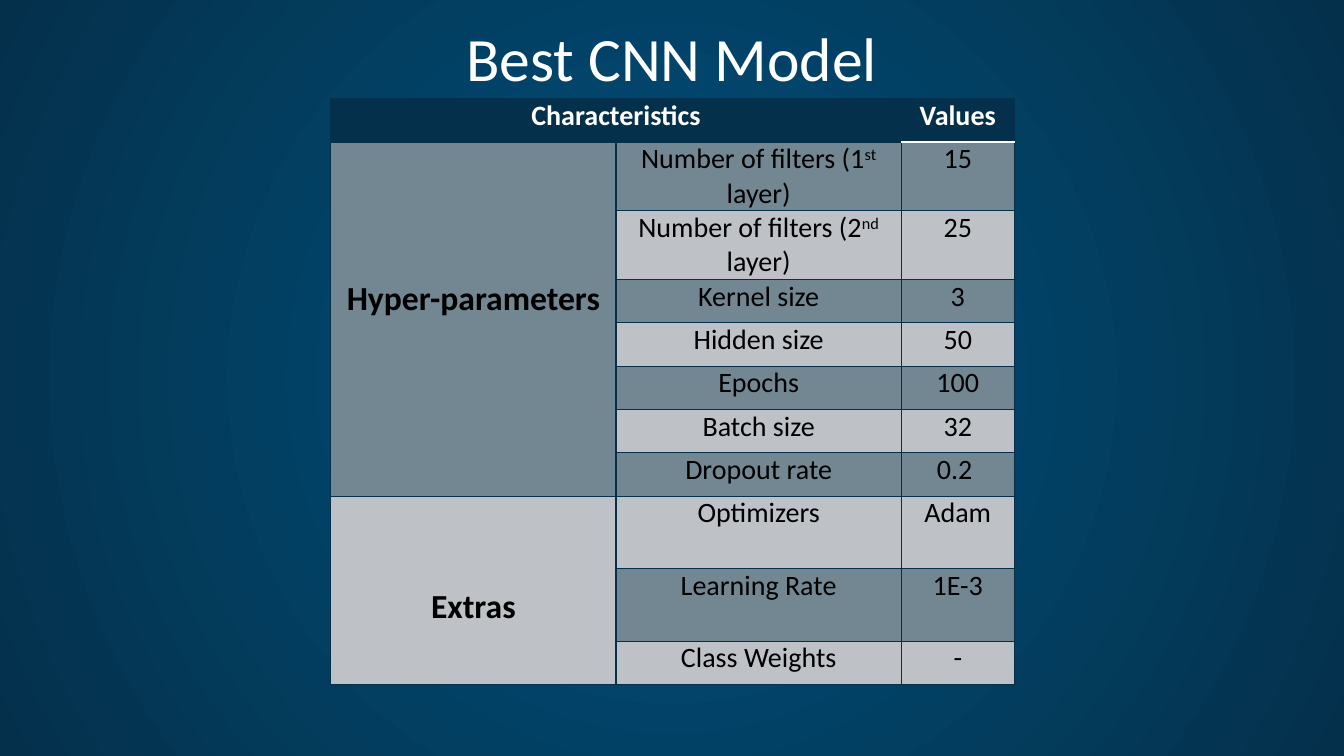
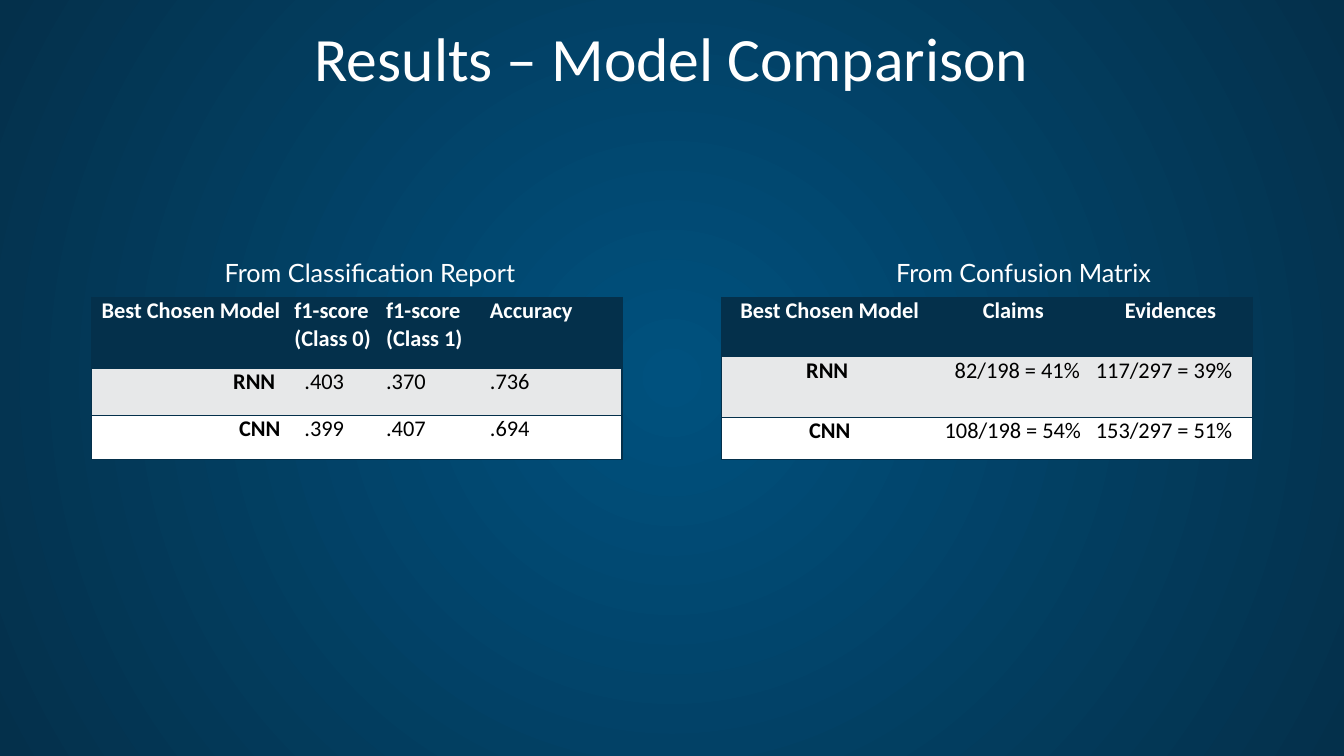
from dataclasses import dataclass

from lxml import etree
from pptx import Presentation
from pptx.dml.color import RGBColor
from pptx.enum.text import MSO_ANCHOR, PP_ALIGN
from pptx.oxml.ns import qn
from pptx.util import Inches, Pt

LEFT, MID, RIGHT = PP_ALIGN.LEFT, PP_ALIGN.CENTER, PP_ALIGN.RIGHT
CENTER = MSO_ANCHOR.MIDDLE
PLAIN = "{2D5ABB26-0587-4C30-8999-92F81FD0307C}"


@dataclass(frozen=True)
class Theme:
    blue: str = "00517E"
    navy: str = "04304B"
    slate: str = "738793"
    pale: str = "BEC1C6"
    mist: str = "E7E8E9"
    white: str = "FFFFFF"
    black: str = "000000"
    font: str = "Calibri"
    note: str = "Lato"
    title: int = 44
    group: int = 24
    body: int = 20
    label: int = 18
    small: int = 16
    thin: float = 0.75
    line: float = 1
    thick: float = 2.08


T = Theme()


def put(frame, text, size=T.body, color=T.black, font=T.font, bold=False,
        align=LEFT, space=None, after=0):
    """Write one paragraph per line; text between bars is superscript."""
    for i, line in enumerate(text.split("\n")):
        para = frame.add_paragraph() if i else frame.paragraphs[0]
        para.alignment = align
        para.space_after = Pt(after)
        if space:
            para.line_spacing = space
        for j, part in enumerate(line.split("|")):
            run = para.add_run()
            run.text = part
            run.font.size = Pt(size)
            run.font.name = font
            run.font.bold = bold
            run.font.color.rgb = RGBColor.from_string(color)
            if j % 2:
                run._r.get_or_add_rPr().set("baseline", "30000")


def grid(slide, x, y, cols, rows, fill, edge):
    """Add a table; fill(r, c) gives a colour, edge(r, c) its (colour, width) by side."""
    frame = slide.shapes.add_table(len(rows), len(cols), Inches(x), Inches(y),
                                   Inches(sum(cols)), Inches(sum(rows)))
    table = frame.table
    table.first_row = table.horz_banding = False
    table._tbl.tblPr.find(qn("a:tableStyleId")).text = PLAIN
    for col, width in zip(table.columns, cols):
        col.width = Inches(width)
    for r, height in enumerate(rows):
        table.rows[r].height = Inches(height)
        for c in range(len(cols)):
            cell = table.cell(r, c)
            cell.margin_left = cell.margin_right = Inches(0.07)
            cell.margin_top = cell.margin_bottom = 0
            cell.fill.solid()
            cell.fill.fore_color.rgb = RGBColor.from_string(fill(r, c))
            sides = edge(r, c)
            for i, side in enumerate("LRTB"):
                line = etree.Element(qn(f"a:ln{side}"))
                if side in sides:
                    color, width = sides[side]
                    line.set("w", str(int(Pt(width))))
                    solid = etree.SubElement(line, qn("a:solidFill"))
                    etree.SubElement(solid, qn("a:srgbClr"), val=color)
                else:
                    etree.SubElement(line, qn("a:noFill"))
                cell._tc.get_or_add_tcPr().insert(i, line)
    return table


prs = Presentation()
prs.slide_width, prs.slide_height = Inches(13.33), Inches(7.5)

# Shared radial background
master = prs.slide_master
back = master.background.fill
back.gradient()
for stop, place, color in zip(back.gradient_stops, (0, 1), (T.blue, T.navy)):
    stop.position = place
    stop.color.rgb = RGBColor.from_string(color)
grad = master.element.find(".//" + qn("a:gradFill"))
for old in grad.findall(qn("a:lin")):
    grad.remove(old)
ring = etree.SubElement(grad, qn("a:path"))
ring.set("path", "circle")
etree.SubElement(ring, qn("a:fillToRect"), l="50000", t="50000", r="50000", b="50000")

# Slides and titles
slides = []
for name in ("Best CNN Model", "Results – Model Comparison"):
    slide = prs.slides.add_slide(prs.slide_layouts[5])
    title = slide.shapes.title
    title.left, title.top = Inches(0.91), Inches(0.28)
    title.width, title.height = Inches(11.51), Inches(0.67)
    title.text_frame.vertical_anchor = CENTER
    put(title.text_frame, name, size=T.title, color=T.white, align=MID, space=0.9)
    slides.append(slide)
best, results = slides

# Best model: settings in two groups
settings = [
    ("Number of filters (1|st| layer)", "15"),
    ("Number of filters (2|nd| layer)", "25"),
    ("Kernel size", "3"),
    ("Hidden size", "50"),
    ("Epochs", "100"),
    ("Batch size", "32"),
    ("Dropout rate", "0.2 "),
    ("Optimizers", "Adam"),
    ("Learning Rate", "1E-3"),
    ("Class Weights", "-"),
]
groups = [("Hyper-parameters", 1, 7, 1.35), ("Extras", 8, 10, 0.9)]


def_fill = lambda r, c: (T.navy if r == 0 else
                         T.slate if (r < 8 if c == 0 else r % 2) else T.pale)
rule = (T.navy, T.thin)
heavy = {(0, "R"): T.navy, (1, "L"): T.navy}


table = grid(
    best, 3.28, 0.98, [2.83, 2.83, 1.12],
    [0.43] + [0.68] * 2 + [0.43] * 5 + [0.72] * 2 + [0.43], def_fill,
    lambda r, c: {
        side: (T.white, T.thick) if (r, c, side) in ((0, 2, "B"), (1, 2, "T"))
        else (heavy[c, side], T.thick) if r and (c, side) in heavy
        else rule
        for side in "LRTB"})
table.cell(0, 0).merge(table.cell(0, 1))
for c, text in ((0, "Characteristics"), (2, "Values")):
    put(table.cell(0, c).text_frame, text, color=T.white, bold=True, align=MID, after=3)
for text, first, last, drop in groups:
    cell = table.cell(first, 0)
    cell.merge(table.cell(last, 0))
    cell.margin_top = Inches(drop)
    put(cell.text_frame, text, size=T.group, bold=True, align=MID, after=3)
for r, pair in enumerate(settings, 1):
    for c, text in enumerate(pair, 1):
        put(table.cell(r, c).text_frame, text, align=MID, after=3)

# Model comparison: place, caption, sizes, head and name alignment, indents, text
reports = [
    (0.91, 2.13, "From Classification Report", [1.94, 0.91, 1.03, 1.38],
     [0.7, 0.47, 0.44], LEFT, RIGHT, [(1, 1), (2, 1)],
     [("Best Chosen Model", "f1-score\n(Class 0)", "f1-score\n(Class 1)", "Accuracy"),
      ("RNN ", ".403", ".370", ".736"),
      ("CNN", ".399", ".407", ".694")]),
    (7.16, 8.79, "From Confusion Matrix", [2.14, 1.5, 1.62],
     [0.59, 0.6, 0.42], MID, MID, [(1, 1)],
     [("Best Chosen Model", "Claims", "Evidences"),
      ("RNN ", "82/198 = 41%", "117/297 = 39%"),
      ("CNN", "108/198 = 54%", "153/297 = 51%")]),
]
shades = (T.navy, T.mist, T.white)
rule = (T.navy, T.line)
for x, left, label, cols, rows, head, name, shifts, data in reports:
    box = results.shapes.add_textbox(Inches(left), Inches(2.44), Inches(3.22), Inches(0.51))
    box.text_frame.word_wrap = True
    put(box.text_frame, label, size=T.label, color=T.white, font=T.note, space=1.2)
    ends = {0: "LTB", len(cols) - 1: "RTB"}
    table = grid(results, x, 2.95, cols, rows, lambda r, c: shades[r],
                 lambda r, c: dict.fromkeys(ends.get(c, "TB"), rule))
    for r, row in enumerate(data):
        for c, text in enumerate(row):
            cell = table.cell(r, c)
            if (r, c) in shifts:
                cell.margin_left = Inches(0.17)
            put(cell.text_frame, text, size=T.small, bold=r == 0 or c == 0,
                color=T.black if r else T.white,
                align=name if c == 0 else LEFT if r else head)

prs.save("out.pptx")
